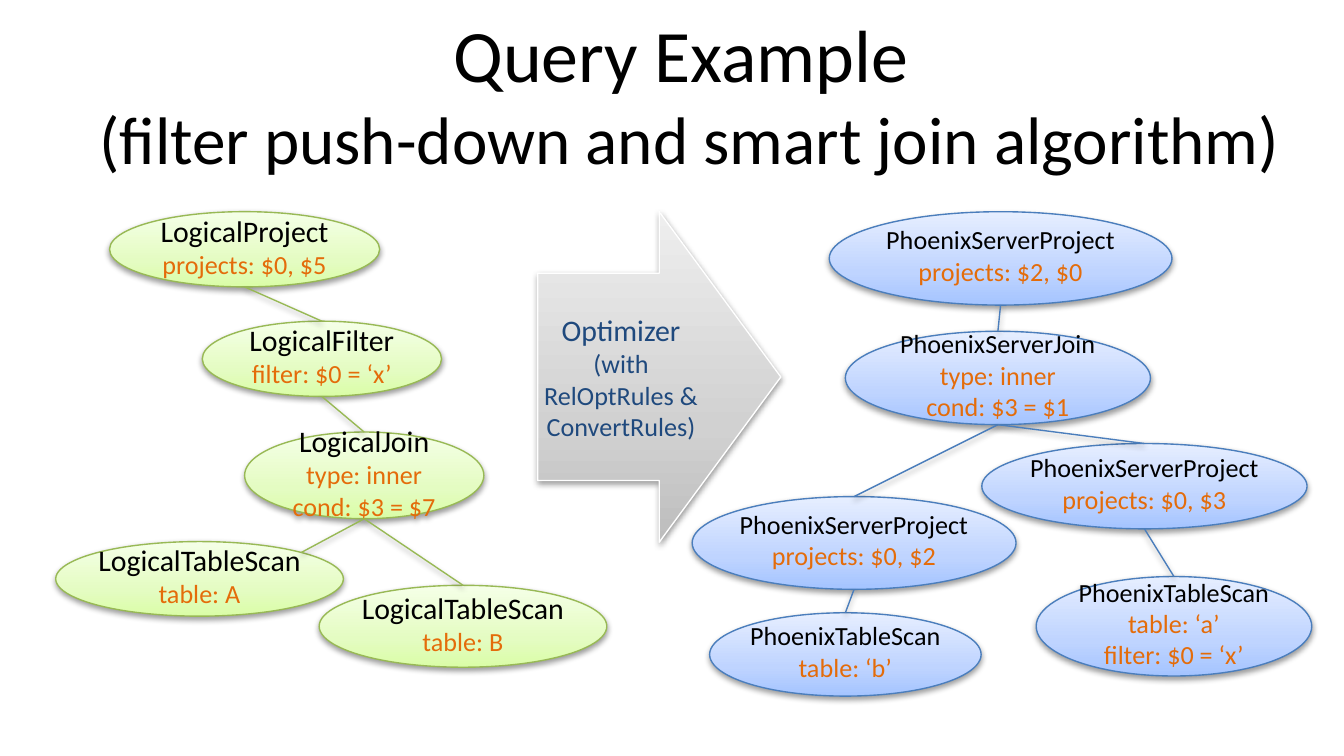
"""Builds a slide on how an optimizer turns a logical query plan into a physical one."""
from math import cos, pi, sin

from lxml import etree
from pptx import Presentation
from pptx import util as u
from pptx.dml.color import RGBColor
from pptx.enum import shapes, text
from pptx.oxml import parse_xml
from pptx.oxml.ns import nsdecls, qn

BLACK = RGBColor(0x00, 0x00, 0x00)
WHITE = RGBColor(0xFF, 0xFF, 0xFF)
ORANGE = RGBColor(0xE4, 0x6C, 0x0A)
NAVY = RGBColor(0x1F, 0x49, 0x7D)
GREEN = RGBColor(0x98, 0xB9, 0x55)
BLUE = RGBColor(0x4B, 0x7E, 0xBC)
GREEN_FADE = [RGBColor(0xDA, 0xFD, 0xA7), RGBColor(0xE4, 0xFC, 0xC2), RGBColor(0xF5, 0xFF, 0xE7)]
BLUE_FADE = [RGBColor(0xA4, 0xC4, 0xFF), RGBColor(0xBF, 0xD4, 0xFF), RGBColor(0xE6, 0xEE, 0xFF)]
GREY_FADE = [RGBColor(0xBD, 0xBD, 0xBD), RGBColor(0xD1, 0xD1, 0xD1), RGBColor(0xEE, 0xEE, 0xEE)]

LOGICAL_NODES = {
    "filter": (15.05, 23.9, 17.8, 5.6, ["LogicalFilter", "filter: $0 = ‘x’"]),
    "join": (18.2, 32.15, 17.8, 6.45, ["LogicalJoin", "type: inner", "cond: $3 = $7"]),
    "project": (8.15, 15.75, 20.1, 5.6, ["LogicalProject", "projects: $0, $5"]),
    "scan a": (4.15, 40.3, 21.4, 5.55, ["LogicalTableScan", "table: A"]),
    "scan b": (23.75, 43.55, 21.4, 6.1, ["LogicalTableScan", "table: B"]),
}
LOGICAL_EDGES = [("project", "filter", 90), ("filter", "join", 90),
                 ("join", "scan a", 45), ("join", "scan b", 90)]

PHYSICAL_NODES = {
    "scan a": (77.1, 42.9, 20.5, 7.4, ["PhoenixTableScan", "table: ‘a’", "filter: $0 = ‘x’"]),
    "join": (62.9, 24.65, 22.7, 6.95, ["PhoenixServerJoin", "type: inner", "cond: $3 = $1"]),
    "project": (61.7, 15.75, 25.5, 6.95, ["PhoenixServerProject", "projects: $2, $0"]),
    "scan b": (52.8, 45.6, 20.2, 6.2, ["PhoenixTableScan", "table: ‘b’"]),
    "project b": (51.5, 36.95, 24.1, 6.9, ["PhoenixServerProject", "projects: $0, $2"]),
    "project a": (73.05, 33, 24.2, 6.35, ["PhoenixServerProject", "projects: $0, $3"]),
}
PHYSICAL_EDGES = [("project", "join", 90), ("join", "project b", 90), ("join", "project a", 90),
                  ("project b", "scan b", 90), ("project a", "scan a", 90)]


def write(para, words, size, color=BLACK, font="Calibri"):
    """Add a formatted span of text to a centred paragraph."""
    para.alignment = text.PP_ALIGN.CENTER
    span = para.add_run()
    span.text = words
    span.font.size = u.Pt(size)
    span.font.name = font
    span.font.color.rgb = color


def rim_point(box, angle):
    """Return the point of a box's inner ellipse at an angle in degrees, counter-clockwise."""
    left, top, width, height = box
    turn = angle * pi / 180
    return left + width / 2 * (1 + cos(turn)), top + height / 2 * (1 - sin(turn))


class PlanSlide:
    """Holds the style and the page, and draws on a grid of 100 columns."""

    def __init__(self, deck, page):
        """Take the grid's cell from the deck's width."""
        self.page = page
        self.cell = deck.slide_width / 100
        self.line_width = u.Pt(0.75)

    def grid(self, *cells):
        """Convert grid cells to lengths."""
        return [u.Emu(round(count * self.cell)) for count in cells]

    def finish(self, item, color):
        """Give a shape or connector its line and soft shadow."""
        item.line.color.rgb = color
        item.line.width = self.line_width
        item._element.spPr.append(parse_xml(
            f'<a:effectLst {nsdecls("a")}><a:outerShdw blurRad="40000" dist="20000" dir="5400000" '
            'rotWithShape="0"><a:srgbClr val="000000"><a:alpha val="38000"/></a:srgbClr>'
            '</a:outerShdw></a:effectLst>'))

    def title(self, box, lines):
        """Fill the title placeholder with lines of (words, size)."""
        title = self.page.shapes.title
        title.left, title.top, title.width, title.height = self.grid(*box)
        frame = title.text_frame
        frame.auto_size = text.MSO_AUTO_SIZE.NONE
        frame.vertical_anchor = text.MSO_ANCHOR.MIDDLE
        para = frame.paragraphs[0]
        for index, (words, size) in enumerate(lines):
            if index:
                para.add_line_break()
                etree.SubElement(para._p[-1], qn("a:rPr"), sz=str(round(lines[index - 1][1] * 100)))
            write(para, words, size)

    def shape(self, kind, box, fade, color, lines, wrap=False, bottom=0.0):
        """Draw a faded shape with lines of (words, size, color)."""
        shape = self.page.shapes.add_shape(kind, *self.grid(*box))
        stops = "".join(f'<a:gs pos="{place}"><a:srgbClr val="{stop}"/></a:gs>'
                        for place, stop in zip((0, 35000, 100000), fade))
        shape._element.spPr.find(qn("a:prstGeom")).addnext(parse_xml(
            f'<a:gradFill {nsdecls("a")} rotWithShape="1"><a:gsLst>{stops}</a:gsLst>'
            '<a:lin ang="16200000" scaled="0"/></a:gradFill>'))
        self.finish(shape, color)
        frame = shape.text_frame
        frame.word_wrap = wrap
        frame.vertical_anchor = text.MSO_ANCHOR.MIDDLE
        frame.margin_left = frame.margin_top = frame.margin_right = 0
        frame.margin_bottom = u.Inches(bottom)
        for index, (words, size, ink) in enumerate(lines):
            para = frame.add_paragraph() if index else frame.paragraphs[0]
            write(para, words, size, ink)
        return shape

    def edge(self, start, end, color):
        """Draw a straight line between two grid points."""
        line = self.page.shapes.add_connector(
            shapes.MSO_CONNECTOR.STRAIGHT, *self.grid(*start, *end))
        self.finish(line, color)

    def tree(self, nodes, edges, fade, color, heading_size):
        """Draw a plan's nodes and the lines from each parent to its children."""
        for *box, (heading, *details) in nodes.values():
            lines = [(heading, heading_size, BLACK)] + [(words, 14, ORANGE) for words in details]
            self.shape(shapes.MSO_SHAPE.OVAL, box, fade, color, lines, bottom=0.05)
        for parent, child, angle in edges:
            self.edge(rim_point(nodes[parent][:4], 270), rim_point(nodes[child][:4], angle), color)

    def arrow(self, box, lines):
        """Draw the wide arrow between the plans."""
        arrow = self.shape(shapes.MSO_SHAPE.RIGHT_ARROW, box, GREY_FADE, WHITE, lines, wrap=True)
        arrow.adjustments[0] = 0.627
        arrow.adjustments[1] = 0.5


def main():
    """Build and save the deck."""
    deck = Presentation()
    deck.slide_width = u.Inches(10)
    deck.slide_height = deck.slide_width * 9 // 16
    plan = PlanSlide(deck, deck.slides.add_slide(deck.slide_layouts.get_by_name("Title Only")))
    plan.title((5, 2.25, 92.6, 9.4), [("Query Example ", 39.6),
                                      ("(filter push-down and smart join algorithm)", 36)])
    plan.tree(LOGICAL_NODES, LOGICAL_EDGES, GREEN_FADE, GREEN, 16)
    plan.arrow((40, 15.75, 18.1, 24.6), [("Optimizer", 16, NAVY),
                                         ("(with RelOptRules & ConvertRules)", 14, NAVY)])
    plan.tree(PHYSICAL_NODES, PHYSICAL_EDGES, BLUE_FADE, BLUE, 14)
    deck.save("out.pptx")


if __name__ == "__main__":
    main()
